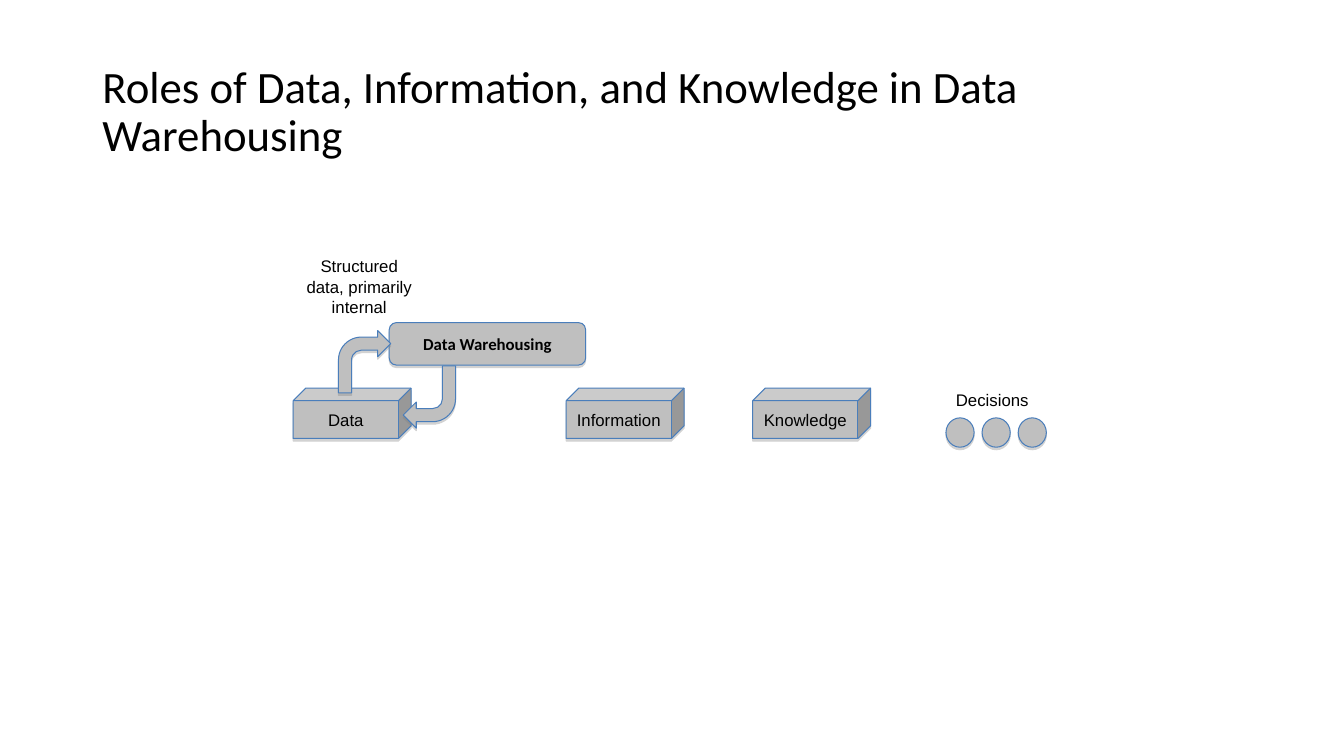
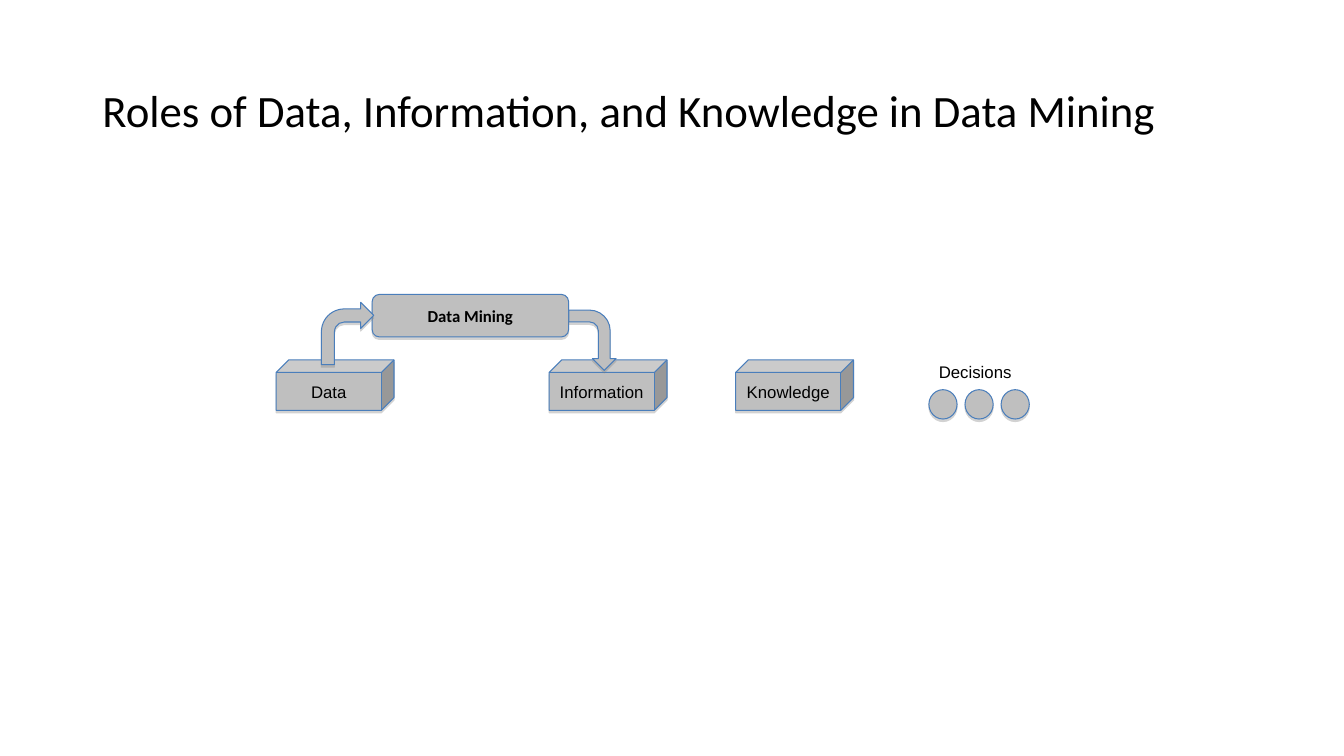
from lxml import etree
from pptx import Presentation
from pptx import util as u
from pptx.dml.color import RGBColor
from pptx.enum import shapes, text
from pptx.oxml import ns

GREY = RGBColor(0xBF, 0xBF, 0xBF)
BLUE = RGBColor(0x4A, 0x7E, 0xBB)
BLACK = RGBColor(0, 0, 0)
SHADOW = RGBColor(0x80, 0x80, 0x80)

PRESET = shapes.MSO_SHAPE
CENTER = text.PP_ALIGN.CENTER
LEFT = text.PP_ALIGN.LEFT
TITLE_FONT = {"name": "Calibri", "size": u.Pt(32)}
LABEL_FONT = {"name": "Arial", "size": u.Pt(12)}
PROCESS_FONT = {"name": "Calibri", "size": u.Pt(12), "bold": True}
TIGHT = {"margin_left": 0, "margin_right": 0, "margin_top": 0, "margin_bottom": 0}


def style(target, values):
    for key, value in values.items():
        setattr(target, key, value)


class RolesDeck:
    def __init__(self):
        self.deck = Presentation()
        style(self.deck, {"slide_width": u.Cm(33.87), "slide_height": u.Cm(19.05)})
        self.slide = None
        self.origin = (0, 0)

    def start(self, title, origin):
        self.slide = self.deck.slides.add_slide(self.deck.slide_layouts[6])
        self.origin = (0, 0)
        heading = self.label(title, 2.33, 1.01, 29.21, 3.68, TITLE_FONT,
                             anchor=text.MSO_ANCHOR.MIDDLE)
        heading.paragraphs[0].line_spacing = 0.9
        self.origin = origin

    def place(self, left, top, width, height):
        x, y = self.origin
        return [u.Cm(v) for v in (x + left, y + top, width, height)]

    def fill_text(self, frame, words, font, align, frame_format):
        style(frame, frame_format)
        paragraph = frame.paragraphs[0]
        paragraph.alignment = align
        run = paragraph.add_run()
        run.text = words
        style(run.font, font)
        run.font.color.rgb = BLACK
        return frame

    def label(self, words, left, top, width, height, font=LABEL_FONT, align=LEFT,
              wrap=True, anchor=text.MSO_ANCHOR.TOP):
        box = self.slide.shapes.add_textbox(*self.place(left, top, width, height))
        return self.fill_text(box.text_frame, words, font, align,
                              {"word_wrap": wrap, "vertical_anchor": anchor})

    def block(self, preset, left, top, width, height, words="", font=LABEL_FONT, turn=0):
        block = self.slide.shapes.add_shape(preset, *self.place(left, top, width, height))
        block.rotation = turn
        block.fill.solid()
        block.fill.fore_color.rgb = GREY
        block.line.color.rgb = BLUE
        block.line.width = u.Pt(0.75)
        self.cast_shadow(block)
        if words:
            self.fill_text(block.text_frame, words, font, CENTER,
                           {**TIGHT, "word_wrap": True,
                            "vertical_anchor": text.MSO_ANCHOR.MIDDLE})

    def cast_shadow(self, block):
        block.shadow.inherit = False
        effects = block._element.spPr.find(ns.qn("a:effectLst"))
        outer = etree.SubElement(effects, ns.qn("a:outerShdw"), blurRad="0",
                                 dist=str(u.Pt(1.8)), dir="5400000", rotWithShape="0")
        colour = etree.SubElement(outer, ns.qn("a:srgbClr"), val=str(SHADOW))
        etree.SubElement(colour, ns.qn("a:alpha"), val="35000")

    def arrow(self, left, top, width, height, turn=0):
        self.block(PRESET.BENT_ARROW, left, top, width, height, turn=turn)

    def stages(self):
        for stage, left in (("Data", 0), ("Information", 6.88), ("Knowledge", 11.58)):
            self.block(PRESET.CUBE, left, 0, 2.97, 1.27, stage)

    def decisions(self, left=16.45):
        self.label("Decisions", left, -0.08, 2.36, 0.76, wrap=False)
        for index in range(3):
            self.block(PRESET.OVAL, left + index * 0.91, 0.75, 0.71, 0.74)

    def process(self, name):
        self.block(PRESET.ROUNDED_RECTANGLE, 2.42, -1.65, 4.95, 1.07, name, PROCESS_FONT)
        self.arrow(1.14, -1.45, 1.32, 1.57)

    def roles(self, process, origin):
        self.start(f"Roles of Data, Information, and Knowledge in {process}", origin)
        self.stages()
        self.decisions()
        self.process(process)


def main():
    roles = RolesDeck()

    roles.roles("Data Warehousing", (7.39, 9.78))
    roles.label("Structured data, primarily internal", 0, -3.45, 3.33, 1.8, align=CENTER)
    roles.arrow(2.77, -0.56, 1.32, 1.57, turn=180)

    roles.roles("Data Mining", (6.96, 9.07))
    roles.arrow(7.21, -1.09, 1.52, 1.19, turn=90)

    roles.deck.save("out.pptx")


if __name__ == "__main__":
    main()
